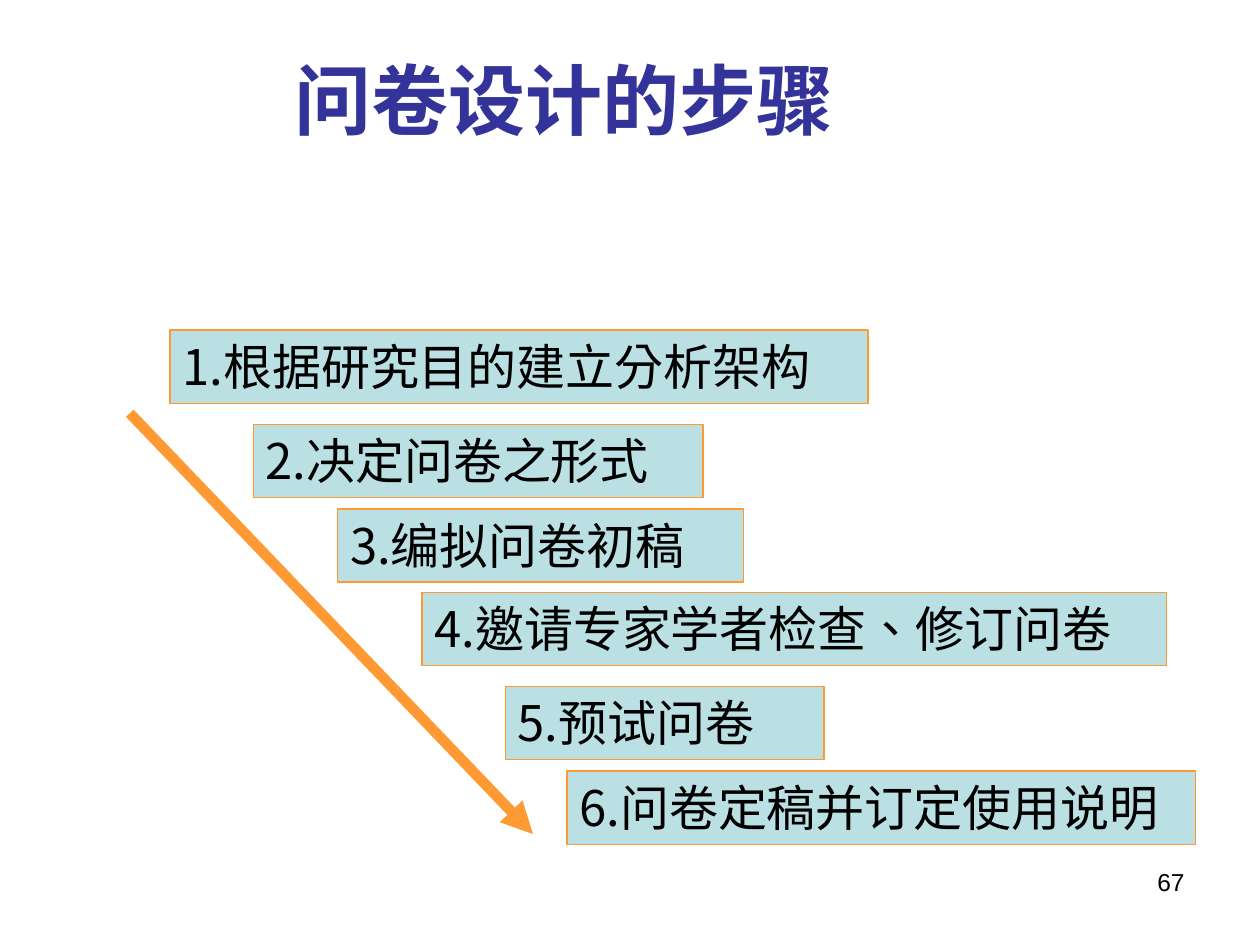
from dataclasses import dataclass

from lxml import etree
from pptx import Presentation
from pptx import util as u
from pptx.dml.color import RGBColor
from pptx.enum import lang, shapes, text
from pptx.oxml import ns


@dataclass(frozen=True)
class Theme:
    title: RGBColor = RGBColor.from_string("333399")
    body: RGBColor = RGBColor.from_string("000000")
    box: RGBColor = RGBColor.from_string("BBE0E3")
    accent: RGBColor = RGBColor.from_string("FF9933")
    title_size: int = 44
    step_size: int = 28
    number_size: int = 14
    latin: str = "Arial"
    chinese: str = "Noto Sans CJK SC"


theme = Theme()


def write(shape, wording, size, color, name, alignment, anchor, bold=False):
    frame = shape.text_frame
    paragraph = frame.paragraphs[0]
    run = paragraph.add_run()
    run.text = wording
    formats = (
        (frame, {"word_wrap": True, "vertical_anchor": anchor}),
        (paragraph, {"alignment": alignment}),
        (run.font, {"name": name, "size": u.Pt(size), "bold": bold,
                    "language_id": lang.MSO_LANGUAGE_ID.TRADITIONAL_CHINESE}),
    )
    for target, values in formats:
        for attribute, value in values.items():
            setattr(target, attribute, value)
    run.font.color.rgb = color
    east_asian = etree.SubElement(run.font._element, ns.qn("a:ea"))
    east_asian.set("typeface", theme.chinese)


presentation = Presentation()
presentation.slide_width = u.Inches(10)
presentation.slide_height = u.Inches(7.5)
slide = presentation.slides.add_slide(presentation.slide_layouts[6])

number = slide.shapes.add_textbox(u.Inches(7.17), u.Inches(6.83), u.Inches(2.33), u.Inches(0.52))
write(number, "67", theme.number_size, theme.body, theme.latin,
      text.PP_ALIGN.RIGHT, text.MSO_ANCHOR.TOP)

title = slide.shapes.add_textbox(u.Inches(0.35), u.Inches(0.36), u.Inches(8.25), u.Inches(0.84))
write(title, "问卷设计的步骤", theme.title_size, theme.title, theme.latin,
      text.PP_ALIGN.CENTER, text.MSO_ANCHOR.BOTTOM, bold=True)

steps = (
    ("根据研究目的建立分析架构", 1.35, 2.62, 5.54),
    ("决定问卷之形式", 2.01, 3.37, 3.57),
    ("编拟问卷初稿", 2.68, 4.04, 3.22),
    ("邀请专家学者检查、修订问卷", 3.35, 4.7, 5.91),
    ("预试问卷", 4.01, 5.45, 2.53),
    ("问卷定稿并订定使用说明", 4.5, 6.12, 4.99),
)
for position, (wording, left, top, width) in enumerate(steps, 1):
    step = slide.shapes.add_shape(shapes.MSO_SHAPE.RECTANGLE, u.Inches(left), u.Inches(top),
                                  u.Inches(width), u.Inches(0.58))
    step.shadow.inherit = False
    step.fill.solid()
    step.fill.fore_color.rgb = theme.box
    step.line.color.rgb = theme.accent
    step.line.width = u.Pt(0.75)
    write(step, f"{position}.{wording}", theme.step_size, theme.body, theme.chinese,
          text.PP_ALIGN.JUSTIFY, text.MSO_ANCHOR.TOP)

arrow = slide.shapes.add_connector(shapes.MSO_CONNECTOR.STRAIGHT, u.Inches(1.03), u.Inches(3.28),
                                   u.Inches(4.23), u.Inches(6.62))
arrow.line.color.rgb = theme.accent
arrow.line.width = u.Pt(6)
etree.SubElement(arrow.line._get_or_add_ln(), ns.qn("a:tailEnd")).set("type", "triangle")
etree.SubElement(arrow._element.spPr, ns.qn("a:effectLst"))

presentation.save("out.pptx")
